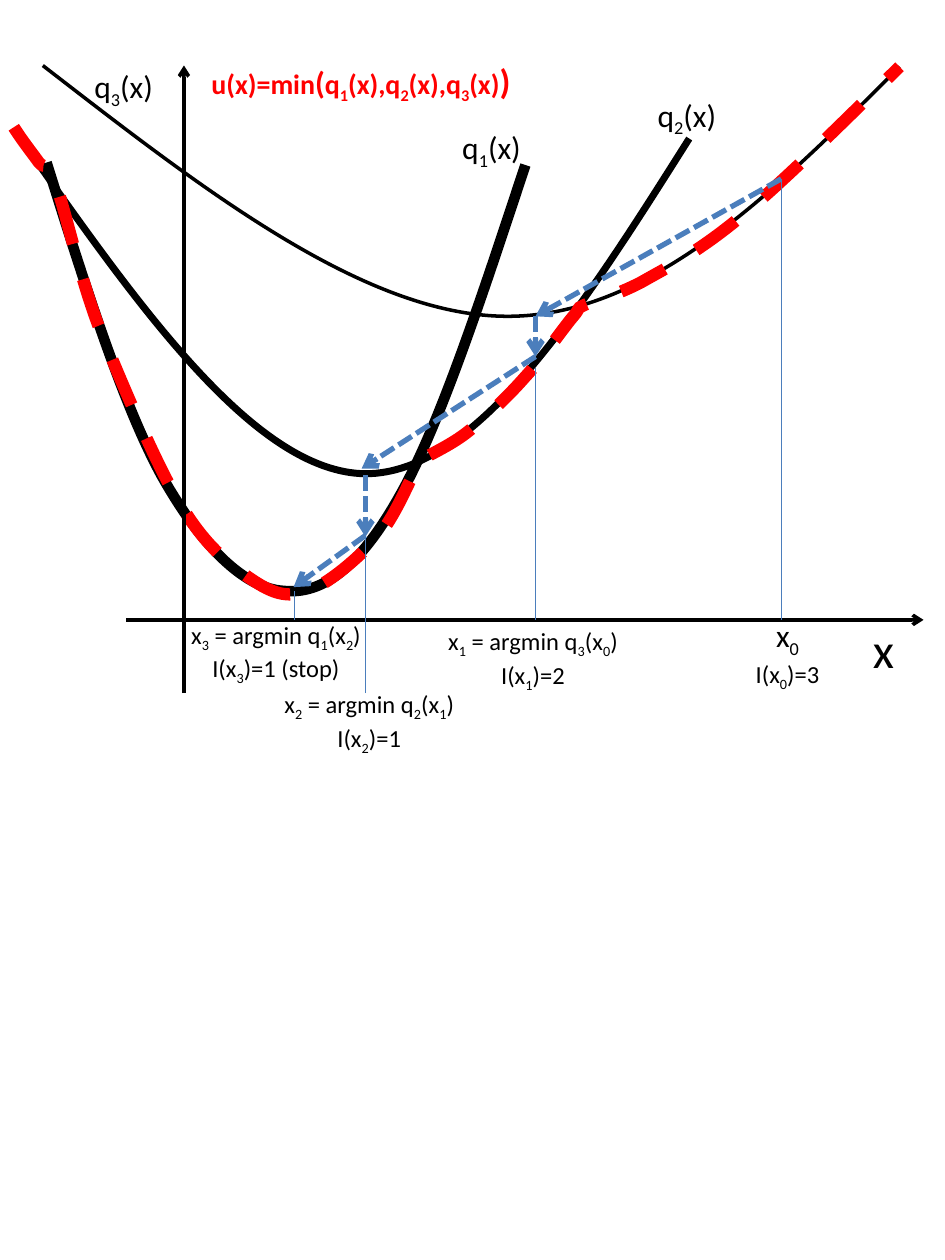
from lxml import etree
from pptx import Presentation
from pptx.dml.color import RGBColor
from pptx.enum.dml import MSO_LINE_DASH_STYLE as DASH
from pptx.enum.shapes import MSO_CONNECTOR
from pptx.enum.text import PP_ALIGN
from pptx.oxml.ns import qn
from pptx.util import Inches, Pt

BLACK, RED, BLUE = "000000", "FF0000", "4B7EBC"

prs = Presentation()
prs.slide_width, prs.slide_height = Inches(7.5), Inches(10)
s = prs.slides.add_slide(prs.slide_layouts[6])


def format_line(sp, color, width, dash=None, arrow=False):
    """Style the outline of a curve or connector and clear its shadow."""
    sp.line.color.rgb = RGBColor.from_string(color)
    sp.line.width = Pt(width)
    if dash:
        sp.line.dash_style = dash
    if arrow:
        etree.SubElement(sp.line._ln, qn("a:tailEnd"), type="arrow")
    etree.SubElement(sp._element.spPr, qn("a:effectLst"))


def add_label(left, top, width, height, paragraphs, color=BLACK, align=PP_ALIGN.LEFT, bold=False):
    """Each paragraph is a list of (text, size); "_" makes the next character a subscript."""
    sp = s.shapes.add_textbox(*map(Inches, (left, top, width, height)))
    tf = sp.text_frame
    tf.word_wrap = False
    for i, parts in enumerate(paragraphs):
        p = tf.add_paragraph() if i else tf.paragraphs[0]
        p.alignment = align
        p.font.name, p.font.bold = "Calibri", bold
        p.font.color.rgb = RGBColor.from_string(color)
        for text, size in parts:
            plain, *subs = text.split("_")
            pieces = [(plain, False)]
            for sub in subs:
                pieces += [(sub[0], True), (sub[1:], False)]
            for piece, lowered in pieces:
                if piece:
                    r = p.add_run()
                    r.text = piece
                    r.font.size = Pt(size)
                    if lowered:
                        r.font._element.set("baseline", "-25000")


# Curves: a start point, then three points for each Bezier segment
q1 = [(0.37, 1.29), (0.67, 2.25), (0.97, 3.2), (1.28, 3.77), (1.6, 4.34), (1.94, 4.67), (2.25, 4.69),
      (2.56, 4.72), (2.85, 4.51), (3.17, 3.94), (3.49, 3.38), (3.83, 2.34), (4.17, 1.31)]
q2 = [(0.15, 1.08), (1.09, 2.42), (2.02, 3.75), (2.9, 3.76), (3.79, 3.76), (4.63, 2.43), (5.47, 1.1)]
q3 = [(0.34, 0.52), (1.62, 1.51), (2.9, 2.51), (4.03, 2.51), (5.16, 2.51), (6.15, 1.52), (7.14, 0.53)]
minimum = [
    (0.11, 1.01), (0.18, 1.12), (0.26, 1.22), (0.31, 1.29), (0.37, 1.36), (0.36, 1.24), (0.44, 1.45),
    (0.52, 1.67), (0.62, 2.15), (0.78, 2.58), (0.95, 3), (1.23, 3.67), (1.43, 4),
    (1.63, 4.33), (1.8, 4.46), (1.97, 4.58), (2.13, 4.69), (2.25, 4.75), (2.42, 4.7),
    (2.59, 4.65), (2.83, 4.44), (2.98, 4.28), (3.13, 4.12), (3.24, 3.83), (3.3, 3.73),
    (3.36, 3.63), (3.27, 3.71), (3.33, 3.66), (3.4, 3.61), (3.57, 3.54), (3.71, 3.43),
    (3.85, 3.32), (4.03, 3.15), (4.17, 2.99), (4.31, 2.84), (4.48, 2.59), (4.56, 2.5),
    (4.63, 2.41), (4.55, 2.47), (4.64, 2.42), (4.73, 2.38), (4.88, 2.35), (5.09, 2.24),
    (5.3, 2.12), (5.53, 2.01), (5.88, 1.72), (6.22, 1.44), (6.68, 0.98), (7.14, 0.53)]
for points, color, width, dash in [(q1, BLACK, 6, None), (q2, BLACK, 4, None),
                                   (q3, BLACK, 2, None), (minimum, RED, 7, DASH.DASH)]:
    start, *rest = [(Inches(x), Inches(y)) for x, y in points]
    builder = s.shapes.build_freeform(*start)
    builder.add_line_segments(rest, close=False)
    sp = builder.convert_to_shape()
    sp.fill.background()
    format_line(sp, color, width, dash)
    # Join every three straight segments into one cubic Bezier
    outline = next(sp._element.iter(qn("a:path")))
    segments = outline.findall(qn("a:lnTo"))
    for i in range(0, len(segments), 3):
        curve = etree.SubElement(outline, qn("a:cubicBezTo"))
        for segment in segments[i:i + 3]:
            curve.append(segment[0])
            outline.remove(segment)

# Axes, drop lines to the x axis and dashed iteration steps
axes = [(1, 4.92, 7.33, 4.92), (1.46, 5.5, 1.46, 0.52)]
drops = [(6.2, 4.92, 6.2, 1.42), (4.25, 4.92, 4.25, 2.92), (2.9, 5.5, 2.9, 4.26), (2.34, 4.92, 2.34, 4.69)]
steps = [(6.2, 1.42, 4.25, 2.51), (4.25, 2.51, 4.25, 2.83), (4.25, 2.83, 2.87, 3.72),
         (2.9, 3.77, 2.9, 4.26), (2.9, 4.25, 2.33, 4.66)]
for group, style in [(axes, (BLACK, 2, None, True)), (drops, (BLUE, 0.75)),
                     (steps, (BLUE, 3, DASH.SQUARE_DOT, True))]:
    for ends in group:
        format_line(s.shapes.add_connector(MSO_CONNECTOR.STRAIGHT, *map(Inches, ends)), *style)

# Axis, curve and minimum labels
add_label(6.83, 4.87, 0.37, 0.57, [[("x", 28)]])
for n, left, top in [(1, 3.57, 0.97), (2, 5.12, 0.71), (3, 0.65, 0.48)]:
    add_label(left, top, 0.68, 0.4, [[(f"q_{n}(x)", 18)]])
add_label(1.58, 0.42, 2.64, 0.44,
          [[("u(x)=min", 16), ("(", 18), ("q_1(x),q_2(x),q_3(x)", 16), (")", 20)]], RED, bold=True)

# Iterate labels below the x axis
for left, top, width, height, iterate, size, index in [
        (5.89, 4.84, 0.72, 0.64, "x_0", 18, "I(x_0)=3"),
        (3.44, 4.92, 1.58, 0.73, "x_1 = argmin q_3(x_0)", 14, "I(x_1)=2"),
        (2.14, 5.42, 1.58, 0.57, "x_2 = argmin q_2(x_1)", 14, "I(x_2)=1"),
        (1.4, 4.87, 1.58, 0.57, "x_3 = argmin q_1(x_2)", 14, "I(x_3)=1 (stop)")]:
    add_label(left, top, width, height, [[(iterate, size)], [(index, 14)]], align=PP_ALIGN.CENTER)

prs.save("out.pptx")
